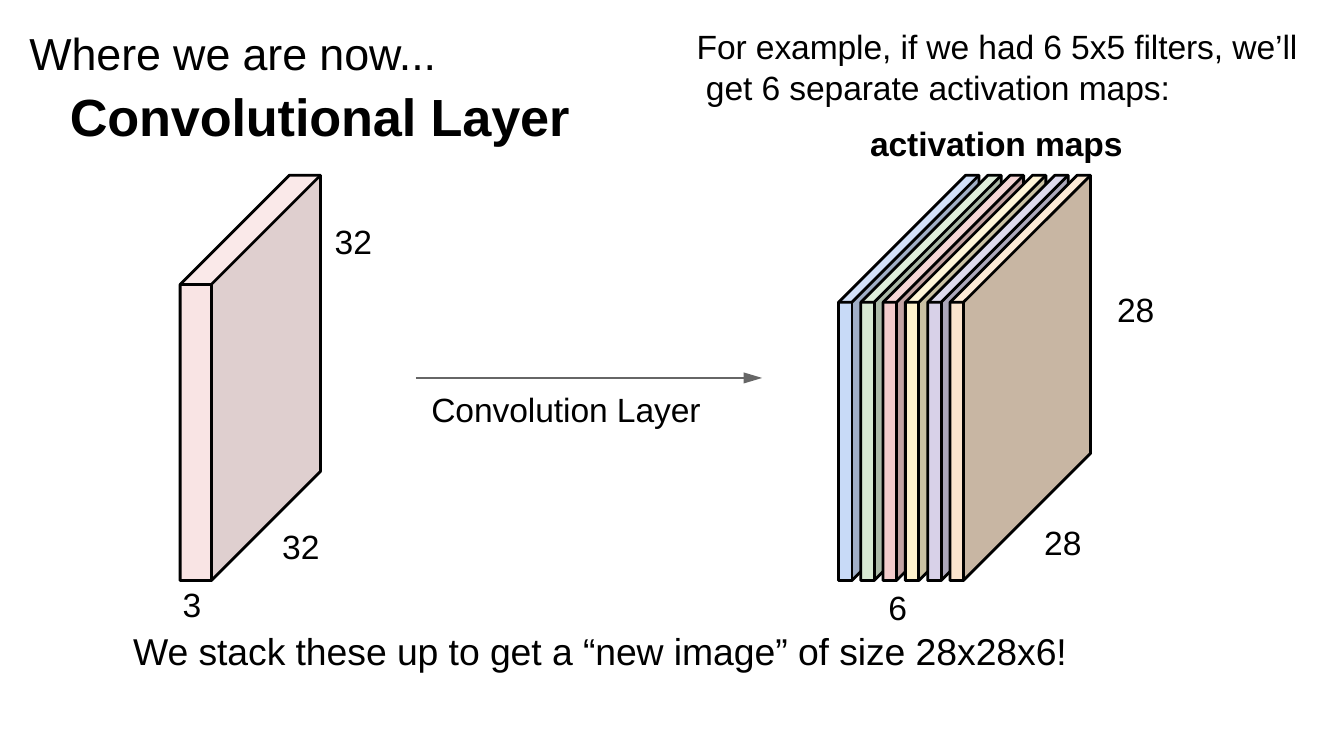
from lxml import etree
from pptx import Presentation
from pptx.dml.color import RGBColor
from pptx.enum.shapes import MSO_CONNECTOR
from pptx.oxml.ns import qn
from pptx.util import Pt

STRAIGHT = MSO_CONNECTOR.STRAIGHT
FONT = "Arial"
COLORS = {"ink": "000000", "arrow": "666666"}

HEADING = [
    {"text": "Where we are now...", "size": 24, "margin": 0.7},
    {"text": "Convolutional Layer", "size": 28, "bold": True, "margin": 22.3, "before": 3},
]
EXAMPLE = [
    {"text": "For example, if we had 6 5x5 filters, we’ll get 6 separate activation maps:",
     "margin": 5.7, "indent": -5, "spacing": 1.01},
    {"text": "activation maps", "bold": True, "margin": 93.6, "before": 8.4},
]
CONCLUSION = [{"text": "We stack these up to get a “new image” of size 28x28x6!", "size": 20}]

TEXT_BLOCKS = [
    (HEADING, 15.1, 6.5, 292.3, 69.8, 7.1),
    (EXAMPLE, 372.5, 12.3, 325.5, 75.6, 1.5),
    (CONCLUSION, 70.6, 334.8, 504, 25.9, 1.7),
]
LABELS = [
    ("32", 150.5, 280.1, 22.3),
    ("32", 178.6, 116.8, 22.3),
    ("3", 97.2, 311.2, 12.2),
    ("Convolution Layer", 230.4, 206.8, 147),
    ("6", 475.2, 312.6, 12.2),
    ("28", 558.7, 278, 22.3),
    ("28", 597.7, 153.3, 22.3),
]
LABEL_HEIGHT = 23.8

SLAB_TOP, SLAB_BASE = 93.9, 311
INPUT_VOLUME = {"left": 96.5, "thickness": 16.7, "depth": 58.5,
                "faces": ("F4CCCC", "C3A3A3", "F6D6D6"), "opacity": 52}
MAP_LEFT, MAP_STEP, MAP_THICKNESS, MAP_DEPTH = 449.2, 11.95, 7.2, 68.1
MAP_FACES = [
    ("C8DAF7", "A0AEC6", "D3E1F9"),
    ("D8E9D3", "ACBAA8", "DFEDDB"),
    ("F4CCCC", "C3A3A3", "F6D6D6"),
    ("FFF2CC", "CAC1A3", "FFF4D6"),
    ("D8D1E8", "ACA7BA", "DFDBED"),
    ("FBE4CD", "C8B6A3", "FBE9D6"),
]
ARROW_START, ARROW_END, ARROW_Y = 222.8, 408.3, 202.5


def add_text(slide, paragraphs, left, top, width, height, inset):
    frame = slide.shapes.add_textbox(Pt(left), Pt(top), Pt(width), Pt(height)).text_frame
    frame.word_wrap = True
    frame.margin_left = frame.margin_right = frame.margin_bottom = 0
    frame.margin_top = Pt(inset)
    for index, content in enumerate(paragraphs):
        paragraph = frame.add_paragraph() if index else frame.paragraphs[0]
        properties = paragraph._p.get_or_add_pPr()
        properties.set("marL", str(Pt(content.get("margin", 0.7))))
        properties.set("indent", str(Pt(content.get("indent", 0))))
        paragraph.space_before = Pt(content.get("before", 0))
        paragraph.line_spacing = content.get("spacing", 1.0)
        run = paragraph.add_run()
        run.text = content["text"]
        run.font.name = FONT
        run.font.size = Pt(content.get("size", 18))
        run.font.bold = content.get("bold", False)
        run.font.color.rgb = RGBColor.from_string(COLORS["ink"])
        run._r.get_or_add_rPr().set("spc", "-5")


def add_outline(slide, points, closed=True):
    start, *rest = [(Pt(x), Pt(y)) for x, y in points]
    builder = slide.shapes.build_freeform(*start, scale=1.0)
    builder.add_line_segments(rest, close=closed)
    shape = builder.convert_to_shape()
    shape.shadow.inherit = False
    shape.fill.background()
    shape.line.color.rgb = RGBColor.from_string(COLORS["ink"])
    shape.line.width = Pt(1.5)
    return shape


def add_face(slide, points, color, opacity):
    face = add_outline(slide, points)
    face.line.fill.background()
    face.fill.solid()
    face.fill.fore_color.rgb = RGBColor.from_string(color)
    if opacity < 100:
        fill_color = face._element.spPr.find(qn("a:solidFill"))[0]
        etree.SubElement(fill_color, qn("a:alpha")).set("val", str(opacity * 1000))


def add_line(slide, start, end, color, width):
    line = slide.shapes.add_connector(STRAIGHT, *(Pt(value) for value in start + end))
    line.line.color.rgb = RGBColor.from_string(color)
    line.line.width = Pt(width)
    etree.SubElement(line._element.spPr, qn("a:effectLst"))
    return line


def add_slab(slide, left, thickness, depth, faces, opacity=100):
    right = left + thickness
    front_top = SLAB_TOP + depth
    front_left, front_right = (left, front_top), (right, front_top)
    base_left, base_right = (left, SLAB_BASE), (right, SLAB_BASE)
    back_left, back_right = (left + depth, SLAB_TOP), (right + depth, SLAB_TOP)
    back_base = (right + depth, SLAB_BASE - depth)

    front = [front_left, front_right, base_right, base_left]
    side = [base_right, front_right, back_right, back_base]
    lid = [front_right, front_left, back_left, back_right]
    for points, color in zip((front, side, lid), faces):
        add_face(slide, points, color, opacity)
    add_outline(slide, [front_left, back_left, back_right, back_base, base_right, base_left])
    add_outline(slide, [front_left, front_right, back_right], closed=False)
    add_line(slide, front_right, base_right, COLORS["ink"], 1.5)


def add_arrow(slide):
    arrow = add_line(slide, (ARROW_START, ARROW_Y), (ARROW_END, ARROW_Y), COLORS["arrow"], 0.75)
    head = etree.SubElement(arrow.line._get_or_add_ln(), qn("a:tailEnd"))
    for key, value in (("type", "triangle"), ("w", "med"), ("len", "lg")):
        head.set(key, value)


def main():
    presentation = Presentation()
    presentation.slide_width, presentation.slide_height = Pt(720), Pt(405)
    slide = presentation.slides.add_slide(presentation.slide_layouts[6])

    add_slab(slide, **INPUT_VOLUME)
    add_arrow(slide)
    for index, faces in enumerate(MAP_FACES):
        add_slab(slide, MAP_LEFT + index * MAP_STEP, MAP_THICKNESS, MAP_DEPTH, faces)
    for block in TEXT_BLOCKS:
        add_text(slide, *block)
    for text, left, top, width in LABELS:
        add_text(slide, [{"text": text}], left, top, width, LABEL_HEIGHT, 1.7)

    presentation.save("out.pptx")


if __name__ == "__main__":
    main()
